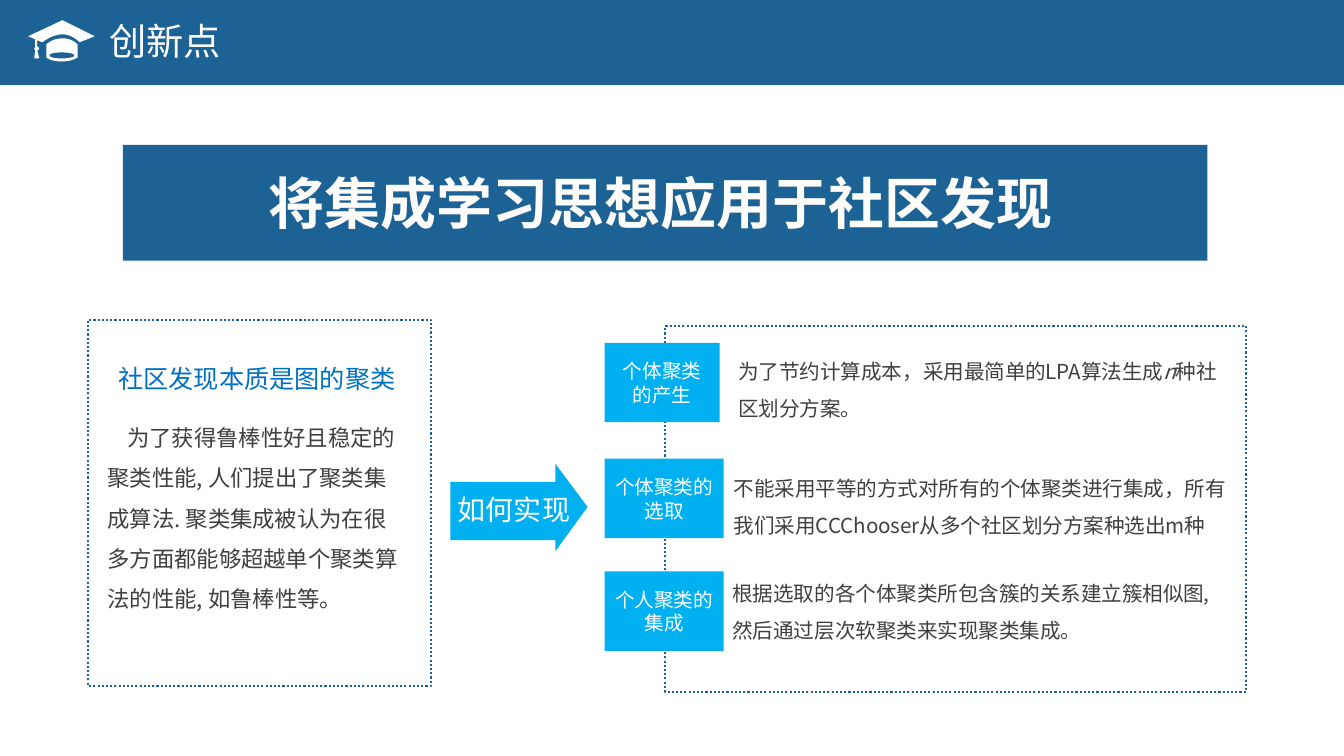
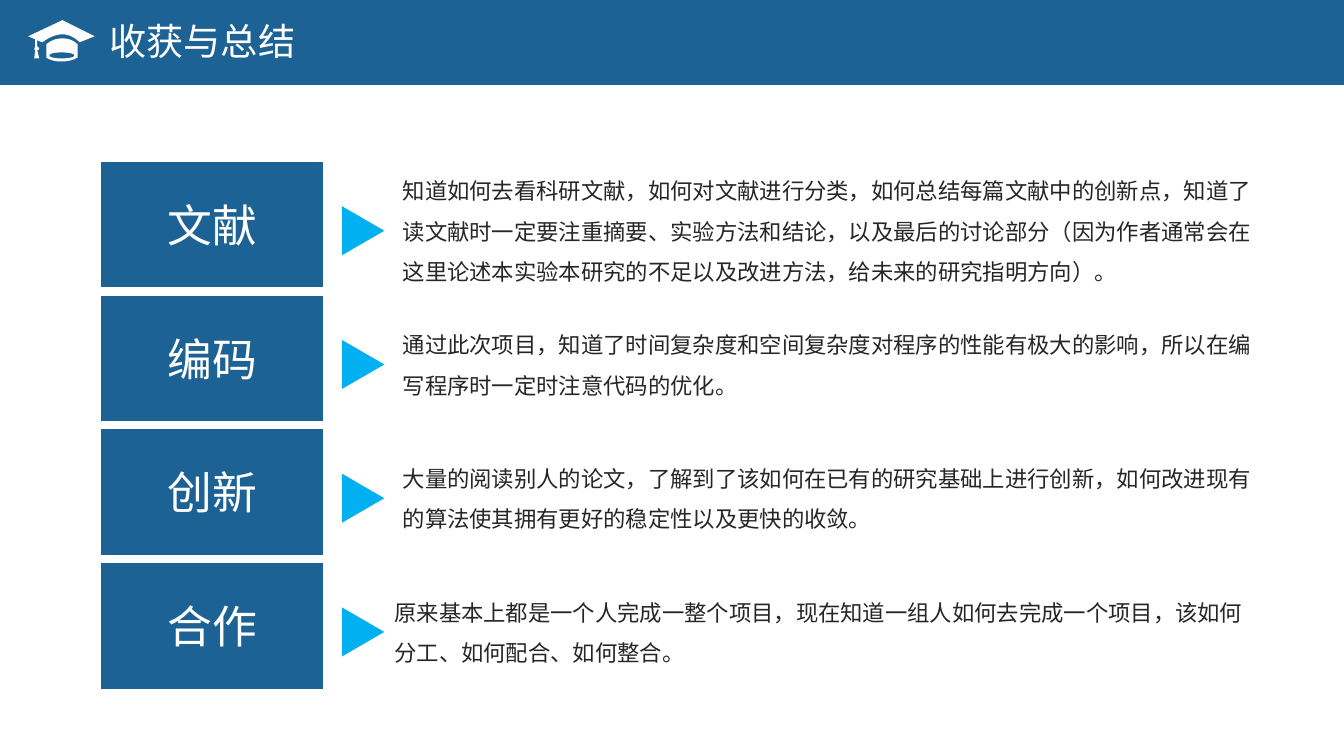
from pptx import Presentation
from pptx.dml.color import RGBColor
from pptx.enum.dml import MSO_LINE
from pptx.enum.shapes import MSO_SHAPE
from pptx.enum.text import MSO_ANCHOR, PP_ALIGN
from pptx.oxml.ns import qn
from pptx.util import Cm, Pt
from lxml import etree

RECT, TRIANGLE = MSO_SHAPE.RECTANGLE, MSO_SHAPE.ISOSCELES_TRIANGLE
TOP, MIDDLE = MSO_ANCHOR.TOP, MSO_ANCHOR.MIDDLE
LEFT, CENTER = PP_ALIGN.LEFT, PP_ALIGN.CENTER
DOTTED = MSO_LINE.ROUND_DOT

FONT = "Noto Sans CJK SC"
COLORS = {"navy": "1D6295", "sky": "00B0F0", "link": "0070C0", "white": "FFFFFF",
          "cream": "FFFDFB", "gray": "404040", "ink": "262626"}

INNOVATION = "创新点"
BANNER = "将集成学习思想应用于社区发现"
PROBLEM = "社区发现本质是图的聚类"
PROBLEM_BODY = ("为了获得鲁棒性好且稳定的聚类性能, 人们提出了聚类集成算法. "
                "聚类集成被认为在很多方面都能够超越单个聚类算法的性能, 如鲁棒性等。")
HOW = "如何实现"
STEPS = [
    ("个体聚类的产生", 8.64, 2.9, 18.36, 8.61,
     "为了节约计算成本，采用最简单的LPA算法生成*n*种社区划分方案。"),
    ("个体聚类的选取", 11.56, 3, 18.24, 11.56,
     "不能采用平等的方式对所有的个体聚类进行集成，所有我们采用CCChooser从多个社区划分方案种选出m种"),
    ("个人聚类的集成", 14.4, 3, 18.21, 14.2,
     "根据选取的各个体聚类所包含簇的关系建立簇相似图, 然后通过层次软聚类来实现聚类集成。"),
]
STEP_RIGHT = 31.18

SUMMARY = "收获与总结"
LESSONS = [
    ("文献", 9.9, "知道如何去看科研文献，如何对文献进行分类，如何总结每篇文献中的创新点，知道了"
                "读文献时一定要注重摘要、实验方法和结论，以及最后的讨论部分（因为作者通常会在"
                "这里论述本实验本研究的不足以及改进方法，给未来的研究指明方向）。"),
    ("编码", 9.9, "通过此次项目，知道了时间复杂度和空间复杂度对程序的性能有极大的影响，"
                "所以在编写程序时一定时注意代码的优化。"),
    ("创新", 9.9, "大量的阅读别人的论文，了解到了该如何在已有的研究基础上进行创新，"
                "如何改进现有的算法使其拥有更好的稳定性以及更快的收敛。"),
    ("合作", 9.69, "原来基本上都是一个人完成一整个项目，现在知道一组人如何去完成一个项目，"
                 "该如何分工、如何配合、如何整合。"),
]
TILE_TOP, TILE_H, TILE_PITCH, LESSON_RIGHT = 4.06, 3.2, 3.37, 31.98

UNIT = Cm(2.54) / 1000
CAP = [
    [(790, 420), (790, 420, 720, 340, 620, 340), (520, 340, 420, 420, 420, 420),
     (370, 400), (370, 460), (380, 470, 390, 470, 390, 480),
     (390, 490, 380, 500, 370, 500), (390, 580), (340, 580), (350, 500),
     (350, 500, 340, 490, 340, 480), (340, 480, 350, 470, 350, 460),
     (350, 390), (280, 360), (620, 200), (940, 360)],
    [(620, 380), (720, 380, 770, 440, 770, 440), (770, 570),
     (770, 570, 720, 610, 610, 610), (500, 610, 460, 570, 460, 570),
     (460, 440), (460, 440, 520, 380, 620, 380)],
    [(610, 580), (680, 580, 740, 570, 740, 550), (740, 530, 680, 520, 610, 520),
     (540, 520, 490, 530, 490, 550), (490, 570, 540, 580, 610, 580)],
]
ARROW = [[(5510, 4600), (5830, 5030), (5510, 5470), (5510, 5360),
          (4470, 5360), (4470, 4780), (5510, 4780)]]


def rgb(name):
    return RGBColor.from_string(COLORS[name])


def paint(sp, fill=None, line=None, width=1, dash=None):
    sp.shadow.inherit = False
    if fill:
        sp.fill.solid()
        sp.fill.fore_color.rgb = rgb(fill)
    else:
        sp.fill.background()
    if line:
        sp.line.color.rgb = rgb(line)
        sp.line.width = Pt(width)
        sp.line.dash_style = dash
    else:
        sp.line.fill.background()


def add_box(s, kind, x, y, w, h, **style):
    sp = s.shapes.add_shape(kind, Cm(x), Cm(y), Cm(w), Cm(h))
    paint(sp, **style)
    return sp


def add_outline(s, contours, fill):
    builder = s.shapes.build_freeform(*contours[0][0], scale=UNIT)
    for i, contour in enumerate(contours):
        if i:
            builder.move_to(*contour[0])
        builder.add_line_segments([step[-2:] for step in contour[1:]], close=True)
    sp = builder.convert_to_shape()
    paint(sp, fill=fill)
    left = min(step[-2] for contour in contours for step in contour)
    top = min(step[-1] for contour in contours for step in contour)
    steps = [step for contour in contours for step in contour[1:]]
    for line, step in zip(list(sp._element.iter(qn("a:lnTo"))), steps):
        if len(step) == 6:
            curve = etree.Element(qn("a:cubicBezTo"))
            for x, y in zip(step[::2], step[1::2]):
                etree.SubElement(curve, qn("a:pt"), x=str(x - left), y=str(y - top))
            line.getparent().replace(line, curve)


def write(p, text, size, color, align=LEFT, bold=None, spacing=None, after=None, indent=None):
    for i, part in enumerate(text.split("*")):
        r = p.add_run()
        r.text = part
        if i % 2:
            r.font.italic = True
    p.alignment = align
    p.line_spacing = spacing
    if after:
        p.space_after = Pt(after)
    p.font.size = Pt(size)
    p.font.bold = bold
    p.font.color.rgb = rgb(color)
    p.font.name = FONT
    pPr = p._p.pPr
    etree.SubElement(pPr.find(qn("a:defRPr")), qn("a:ea"), typeface=FONT)
    if indent:
        pPr.set("indent", str(Cm(indent)))


def label(sp, text, size, color):
    tf = sp.text_frame
    tf.word_wrap = True
    tf.vertical_anchor = MIDDLE
    write(tf.paragraphs[0], text, size, color, CENTER)


def add_text(s, x, y, w, h, *paragraphs, anchor=TOP):
    tf = s.shapes.add_textbox(Cm(x), Cm(y), Cm(w), Cm(h)).text_frame
    tf.word_wrap = True
    tf.vertical_anchor = anchor
    for i, style in enumerate(paragraphs):
        write(tf.add_paragraph() if i else tf.paragraphs[0], **style)


def add_slide(prs, title):
    s = prs.slides.add_slide(prs.slide_layouts[6])
    add_box(s, RECT, 0, 0, 33.87, 2.14, fill="navy")
    add_text(s, 2.5, 0.34, 10.72, 1.4, dict(text=title, size=26.67, color="white"))
    add_outline(s, CAP, "white")
    return s


def build_innovation(prs):
    s = add_slide(prs, INNOVATION)
    add_box(s, RECT, 3.1, 3.65, 27.33, 2.92, fill="navy")
    add_box(s, RECT, 2.22, 8.06, 8.64, 9.22, line="navy", width=1.5, dash=DOTTED)
    add_text(s, 2.46, 8.66, 8.03, 6.86,
             dict(text=PROBLEM, size=18, color="link", align=CENTER, spacing=1.5, after=12),
             dict(text=PROBLEM_BODY, size=16, color="gray", spacing=1.5, after=20, indent=0.5))
    add_text(s, 6.53, 4.11, 20.47, 1.96, dict(text=BANNER, size=40, color="cream", bold=True))

    add_outline(s, ARROW, "sky")
    add_text(s, 11.28, 12.29, 3.35, 1.12, dict(text=HOW, size=20, color="cream", align=CENTER))

    add_box(s, RECT, 16.77, 8.22, 14.63, 9.22, line="navy", width=1.5, dash=DOTTED)
    for name, tag_y, tag_w, text_x, text_y, text in STEPS:
        add_text(s, text_x, text_y, STEP_RIGHT - text_x, 2.03,
                 dict(text=text, size=14.67, color="gray", spacing=1.5))
        tag = add_box(s, RECT, 15.24, tag_y, tag_w, 2, fill="sky")
        label(tag, name, 14, "white")


def build_summary(prs):
    s = add_slide(prs, SUMMARY)
    for i, (name, text_x, text) in enumerate(LESSONS):
        y = TILE_TOP + i * TILE_PITCH
        tile = add_box(s, RECT, 2.54, y, 5.63, TILE_H, fill="navy", line="white")
        label(tile, name, 32, "white")
        pointer = add_box(s, TRIANGLE, 8.53, y + 1.22, 1.24, 1.07, fill="sky")
        pointer.rotation = 90
        add_text(s, text_x, y, LESSON_RIGHT - text_x, TILE_H,
                 dict(text=text, size=16, color="ink", spacing=1.5), anchor=MIDDLE)


def main():
    prs = Presentation()
    prs.slide_width, prs.slide_height = Cm(33.87), Cm(19.05)
    build_innovation(prs)
    build_summary(prs)
    prs.save("out.pptx")


if __name__ == "__main__":
    main()
